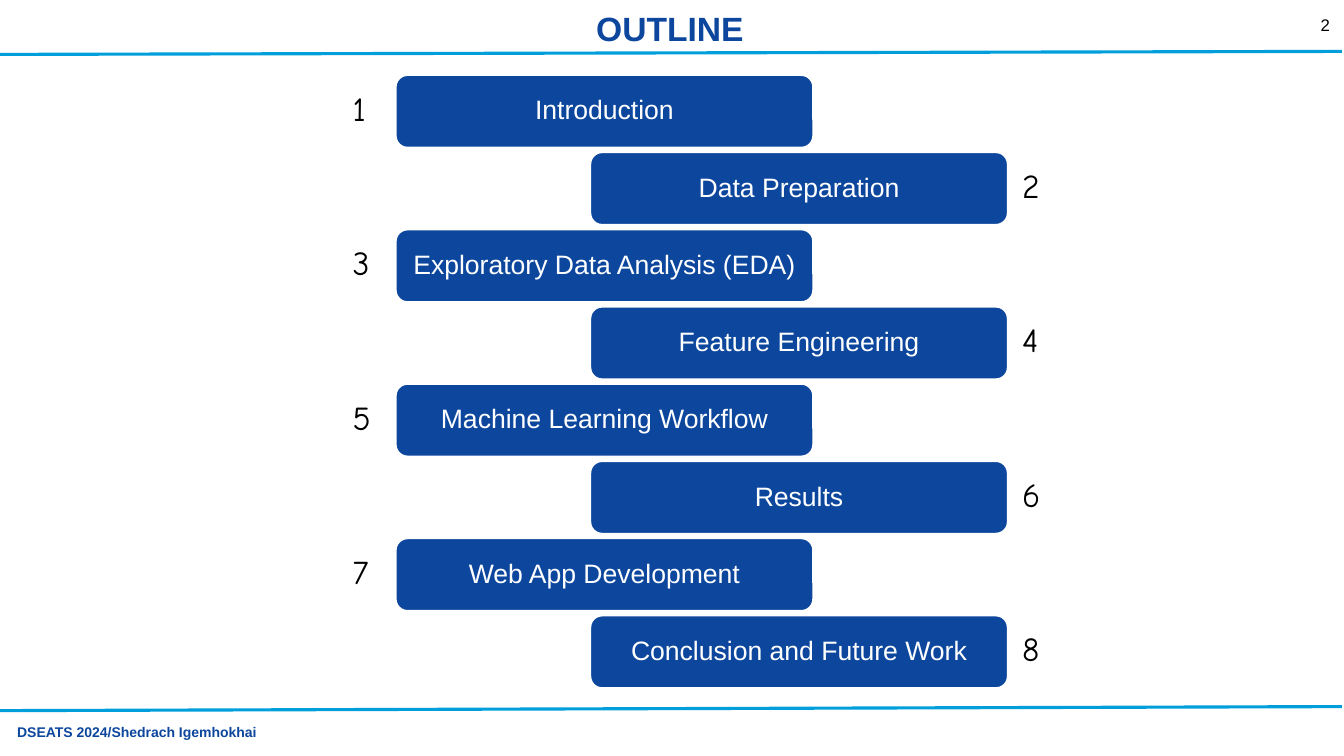
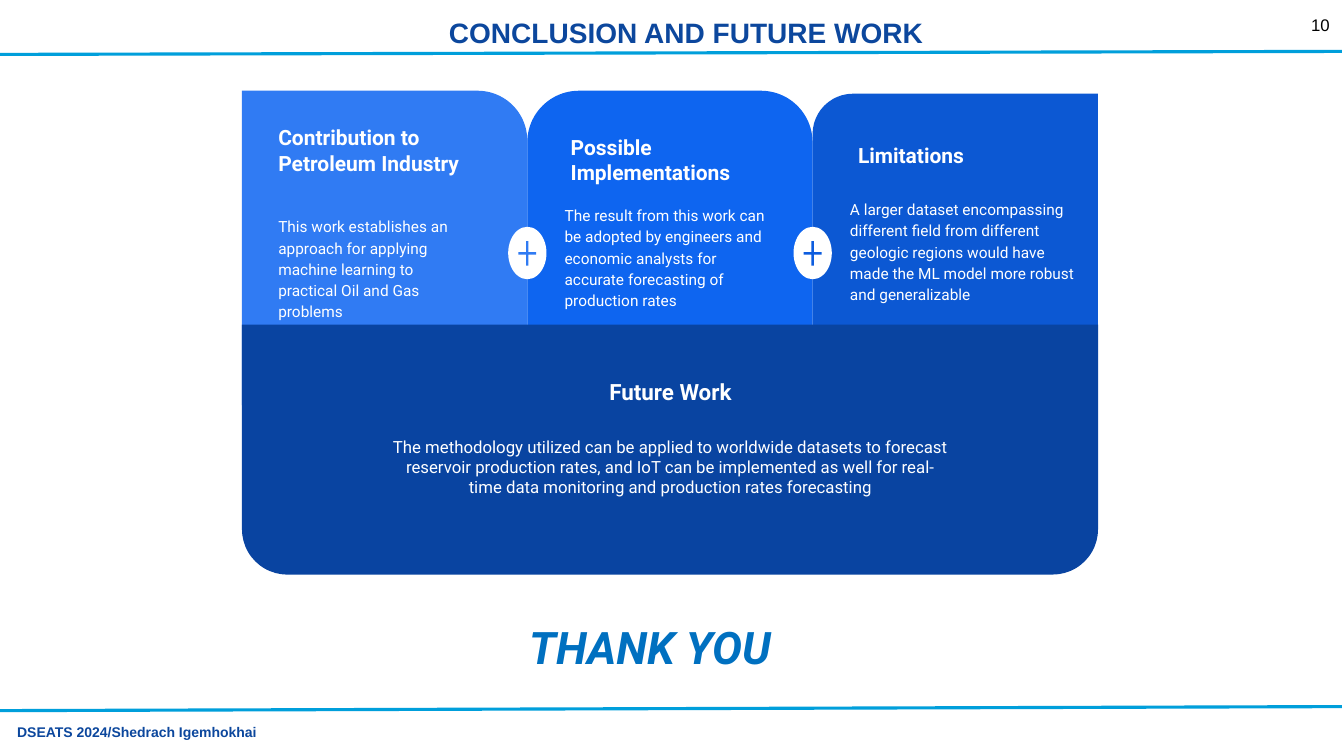
from lxml.etree import SubElement
from pptx import Presentation
from pptx.dml.color import RGBColor
from pptx.enum.shapes import MSO_CONNECTOR, MSO_SHAPE
from pptx.enum.text import MSO_ANCHOR, MSO_AUTO_SIZE, PP_ALIGN
from pptx.oxml.ns import qn
from pptx.util import Inches, Pt

NAVY = RGBColor(0x0C, 0x47, 0x9D)
CYAN = RGBColor(0x00, 0x9F, 0xDB)
WHITE = RGBColor(0xFF, 0xFF, 0xFF)
BLACK = RGBColor(0x00, 0x00, 0x00)
LIGHT_BLUE = RGBColor(0x30, 0x7B, 0xF3)
BRIGHT_BLUE = RGBColor(0x0E, 0x65, 0xF0)
STRONG_BLUE = RGBColor(0x0C, 0x58, 0xD3)
DEEP_BLUE = RGBColor(0x09, 0x44, 0xA1)
PLUS_BLUE = RGBColor(0x0D, 0x5D, 0xDF)
THANKS_BLUE = RGBColor(0x00, 0x70, 0xC0)

FOOTER = "DSEATS 2024/Shedrach Igemhokhai"
RULES = [(0.54, 0.51), (7.05, 7.01)]  # left and right heights
DEFAULT_INSETS = (0.1, 0.05)
CARD_INSETS = (0.13, 0.13)

TOPICS = [
    "Introduction",
    "Data Preparation",
    "Exploratory Data Analysis (EDA)",
    "Feature Engineering",
    "Machine Learning Workflow",
    "Results",
    "Web App Development",
    "Conclusion and Future Work",
]

CARD_LEFT, CARD_WIDTH = 2.4, 2.83
PANEL_TOP = 3.22
CARDS = [
    {
        "shape": MSO_SHAPE.ROUND_1_RECTANGLE, "corners": [0.174], "flip": False,
        "top": 0.9, "height": 3.12, "color": LIGHT_BLUE,
        "heading": "Contribution to Petroleum Industry",
        "heading_box": (2.63, 1.11, 2.12, 0.91),
        "body": "This work establishes an approach for applying machine learning "
                "to practical Oil and Gas problems",
        "body_box": (2.63, 2, 2.12, 1.02),
    },
    {
        "shape": MSO_SHAPE.ROUND_2_SAME_RECTANGLE, "corners": [0.181, 0], "flip": False,
        "top": 0.9, "height": 3.12, "color": BRIGHT_BLUE,
        "heading": "Possible Implementations",
        "heading_box": (5.53, 1.2, 2.12, 0.91),
        "body": "The result from this work can be adopted by engineers and economic "
                "analysts for accurate forecasting of production rates",
        "body_box": (5.47, 1.89, 2.26, 1.02),
    },
    {
        "shape": MSO_SHAPE.ROUND_1_RECTANGLE, "corners": [0.174], "flip": True,
        "top": 0.93, "height": 2.3, "color": STRONG_BLUE,
        "heading": "Limitations",
        "heading_box": (8.38, 1.28, 2.12, 0.67),
        "body": "A larger dataset encompassing different field from different geologic "
                "regions would have made the ML model more robust and generalizable",
        "body_box": (8.3, 1.83, 2.59, 1.02),
    },
]
PLUS_COLORS = [LIGHT_BLUE, PLUS_BLUE]
FUTURE_WORK = (
    "The methodology utilized can be applied to worldwide datasets to forecast reservoir "
    "production rates, and IoT can be implemented as well for real-time data monitoring "
    "and production rates forecasting"
)


def inches(*lengths):
    return [Inches(length) for length in lengths]


def write(shape, text, size, color, font="Arial", bold=False, italic=False,
          align=PP_ALIGN.LEFT, anchor=MSO_ANCHOR.TOP, insets=DEFAULT_INSETS, spacing=None):
    frame = shape.text_frame
    frame.text = text
    frame.word_wrap = True
    frame.auto_size = MSO_AUTO_SIZE.NONE
    frame.vertical_anchor = anchor
    frame.margin_left = frame.margin_right = Inches(insets[0])
    frame.margin_top = frame.margin_bottom = Inches(insets[1])
    paragraph = frame.paragraphs[0]
    paragraph.alignment = align
    if spacing:
        paragraph.line_spacing = spacing
    style = paragraph.runs[0].font
    style.name, style.size, style.bold, style.italic = font, Pt(size), bold, italic
    style.color.rgb = color


def add_text(slide, box, text, size, color, **style):
    write(slide.shapes.add_textbox(*inches(*box)), text, size, color, **style)


def add_block(slide, kind, box, color, corners=()):
    """Add a filled preset shape without outline or shadow."""
    shape = slide.shapes.add_shape(kind, *inches(*box))
    shape.shadow.inherit = False
    shape.fill.solid()
    shape.fill.fore_color.rgb = color
    shape.line.fill.background()
    for index, corner in enumerate(corners):
        shape.adjustments[index] = corner
    return shape


def add_slide(presentation, title, box, size, number, **title_style):
    """Add a slide with its title, page number, footer and two rules."""
    slide = presentation.slides.add_slide(presentation.slide_layouts[5])
    for left_height, right_height in RULES:
        rule = slide.shapes.add_connector(
            MSO_CONNECTOR.STRAIGHT, *inches(-0.02, left_height, 13.31, right_height))
        rule.line.color.rgb = CYAN
        rule.line.width = Pt(2.25)
        SubElement(rule.element.spPr, qn("a:effectLst"))
    add_text(slide, (0.17, 7.18, 4.22, 0.25), FOOTER, 10, NAVY, bold=True, insets=(0, 0))
    add_text(slide, (12.53, 0.15, 0.66, 0.25), str(number), 12, BLACK,
             align=PP_ALIGN.RIGHT, insets=(0, 0))
    heading = slide.shapes.title
    heading.left, heading.top, heading.width, heading.height = inches(*box)
    write(heading, title, size, NAVY, bold=True, align=PP_ALIGN.CENTER, **title_style)
    return slide


def build_outline(presentation):
    slide = add_slide(presentation, "OUTLINE", (0.97, 0.03, 11.35, 0.5), 24, 2,
                      anchor=MSO_ANCHOR.MIDDLE)
    first_top, step = 0.74, 0.766
    for index, topic in enumerate(TOPICS):
        top = first_top + index * step
        bar_left, number_left = [(3.92, 3.4), (5.85, 10.04)][index % 2]
        bar = add_block(slide, MSO_SHAPE.ROUNDED_RECTANGLE, (bar_left, top, 4.15, 0.73), NAVY)
        bar.line.color.rgb = WHITE
        bar.line.width = Pt(2)
        write(bar, topic, 19, WHITE, align=PP_ALIGN.CENTER, anchor=MSO_ANCHOR.MIDDLE,
              spacing=0.9)
        add_text(slide, (number_left, top + 0.08, 0.65, 0.5), str(index + 1), 24, BLACK,
                 font="Comic Neue")


def build_conclusion(presentation):
    slide = add_slide(presentation, "CONCLUSION AND FUTURE WORK", (3.76, 0.15, 6.09, 0.48),
                      20, 10, insets=(0, 0))
    for index, card in enumerate(CARDS):
        box = (CARD_LEFT + index * CARD_WIDTH, card["top"], CARD_WIDTH, card["height"])
        block = add_block(slide, card["shape"], box, card["color"], card["corners"])
        if card["flip"]:
            block.element.spPr.find(qn("a:xfrm")).set("flipH", "1")

    panel_box = (CARD_LEFT, PANEL_TOP, len(CARDS) * CARD_WIDTH, 2.48)
    add_block(slide, MSO_SHAPE.ROUND_2_SAME_RECTANGLE, panel_box, DEEP_BLUE, [0, 0.181])

    card_text = {"font": "Roboto", "insets": CARD_INSETS}
    for card in CARDS:
        add_text(slide, card["heading_box"], card["heading"], 15, WHITE, bold=True, **card_text)
        add_text(slide, card["body_box"], card["body"], 11, WHITE, spacing=1.15, **card_text)

    for index, color in enumerate(PLUS_COLORS, start=1):
        center = CARD_LEFT + index * CARD_WIDTH
        add_block(slide, MSO_SHAPE.OVAL, (center - 0.19, 2.25, 0.38, 0.52), WHITE)
        add_block(slide, MSO_SHAPE.MATH_PLUS, (center - 0.12, 2.35, 0.24, 0.33), color, [0.099])

    add_text(slide, (3.75, 3.62, 5.8, 0.69), "Future Work", 16, WHITE, bold=True,
             align=PP_ALIGN.CENTER, **card_text)
    add_text(slide, (3.75, 4.2, 5.8, 0.77), FUTURE_WORK, 12, WHITE,
             align=PP_ALIGN.CENTER, **card_text)
    add_text(slide, (5.15, 6.1, 2.93, 0.64), "THANK YOU", 32, THANKS_BLUE, font="Roboto",
             bold=True, italic=True)


def main():
    presentation = Presentation()
    presentation.slide_width, presentation.slide_height = inches(13.33, 7.5)
    build_outline(presentation)
    build_conclusion(presentation)
    presentation.save("out.pptx")


if __name__ == "__main__":
    main()
